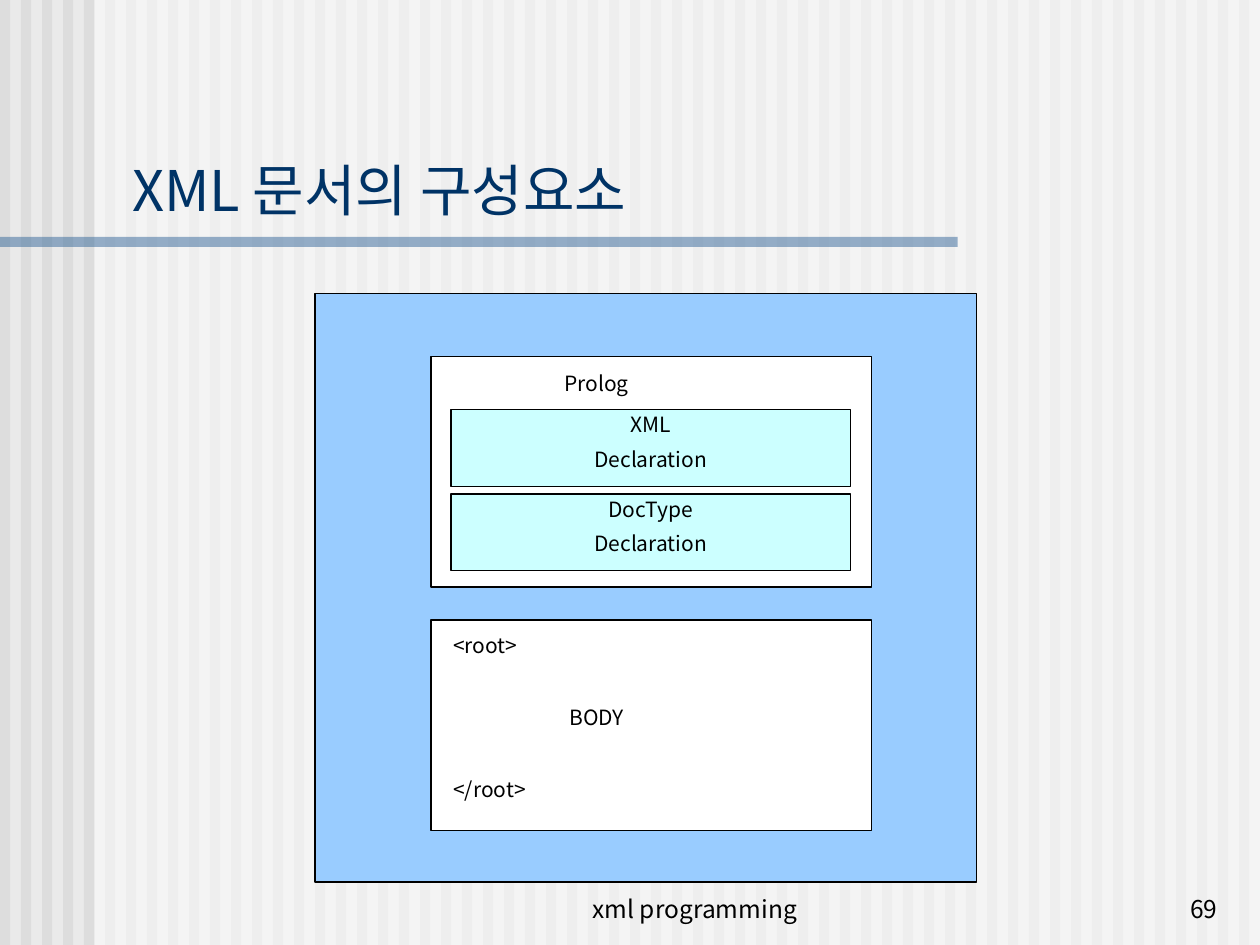
"""Build the slide on the parts of an XML document."""
from lxml import etree
from pptx import Presentation
from pptx.dml.color import RGBColor
from pptx.enum.shapes import MSO_SHAPE
from pptx.enum.text import MSO_ANCHOR, MSO_AUTO_SIZE, PP_ALIGN
from pptx.oxml.ns import qn
from pptx.util import Inches, Pt

RECT = MSO_SHAPE.RECTANGLE
TOP, BOTTOM = MSO_ANCHOR.TOP, MSO_ANCHOR.BOTTOM
LEFT, CENTER, RIGHT = PP_ALIGN.LEFT, PP_ALIGN.CENTER, PP_ALIGN.RIGHT
FIXED = MSO_AUTO_SIZE.NONE
FONT = "Noto Sans CJK KR"
BLACK = RGBColor(0x00, 0x00, 0x00)
WHITE = RGBColor(0xFF, 0xFF, 0xFF)
PAPER = RGBColor(0xEA, 0xEA, 0xEA)
GREY = RGBColor(0xDD, 0xDD, 0xDD)
NAVY = RGBColor(0x00, 0x33, 0x66)
STEEL = RGBColor(0x33, 0x66, 0x99)
SKY = RGBColor(0x99, 0xCC, 0xFF)
AQUA = RGBColor(0xCC, 0xFF, 0xFF)

deck = Presentation()
deck.slide_width, deck.slide_height = Inches(10), Inches(7.5)
slide = deck.slides.add_slide(deck.slide_layouts[5])
shapes = slide.shapes
slide.background.fill.solid()
slide.background.fill.fore_color.rgb = PAPER


def add_box(x, y, w, h, color, edge=None, alpha=None):
    box = shapes.add_shape(RECT, Inches(x), Inches(y), Inches(w), Inches(h))
    box.shadow.inherit = False
    box.fill.solid()
    box.fill.fore_color.rgb = color
    if alpha:
        tone = box.fill._xPr.find(".//" + qn("a:srgbClr"))
        etree.SubElement(tone, qn("a:alpha"), val=str(alpha * 1000))
    if edge is None:
        box.line.fill.background()
    else:
        box.line.color.rgb = edge
        box.line.width = Pt(0.75)
    return box


def write(shape, lines, size, color=BLACK, align=LEFT, anchor=TOP, space=None):
    frame = shape.text_frame
    frame.word_wrap = True
    frame.auto_size = FIXED
    frame.vertical_anchor = anchor
    frame.text = "\n".join(lines)
    for i, para in enumerate(frame.paragraphs):
        para.alignment = align
        if space is not None:
            para.line_spacing = 0.85
            if i:
                para.space_before = Pt(space)
        font = para.font
        font.size, font.name = Pt(size), FONT
        font.color.rgb = color
        etree.SubElement(font._element, qn("a:ea"), typeface=FONT)
    return frame.paragraphs


for i in range(60):
    add_box(i / 6, 0, 0.08, 7.5, GREY)
add_box(0.75, 0, 9.25, 7.5, WHITE, alpha=50)
add_box(0, 1.88, 7.6, 0.08, STEEL, alpha=50)

title = shapes.title
title.left, title.top = Inches(0.95), Inches(0.94)
title.width, title.height = Inches(8.93), Inches(0.83)
write(title, ["XML 문서의 구성요소"], 32, NAVY, anchor=BOTTOM)
title.text_frame.margin_bottom = 0
shapes.element.append(title.element)

for x, w, text, align in ((3.93, 3.17, "xml programming", CENTER),
                          (7.68, 2.08, "69", RIGHT)):
    foot = shapes.add_textbox(Inches(x), Inches(6.88), Inches(w), Inches(0.5))
    write(foot, [text], 14, align=align, anchor=BOTTOM)

add_box(2.5, 2.33, 5.25, 4.67, SKY, BLACK)
add_box(3.42, 2.83, 3.5, 1.83, WHITE, BLACK)
add_box(3.42, 4.92, 3.5, 1.67, WHITE, BLACK)

body = shapes.add_textbox(Inches(3.5), Inches(5), Inches(3.33), Inches(1.52))
paras = write(body, ["<root>", "BODY", "</root>"], 12, space=29)
paras[1]._p.get_or_add_pPr().set("marL", str(Inches(0.92)))

head = shapes.add_textbox(Inches(3.5), Inches(2.92), Inches(3.33), Inches(0.61))
paras = write(head, ["Prolog"], 12, space=0)
paras[0]._p.get_or_add_pPr().set("marL", str(Inches(0.88)))

for y, word in ((3.25, "XML"), (3.92, "DocType")):
    part = add_box(3.58, y, 3.17, 0.61, AQUA, BLACK)
    write(part, [word, "Declaration"], 12, align=CENTER, space=7.5)

deck.save("out.pptx")
